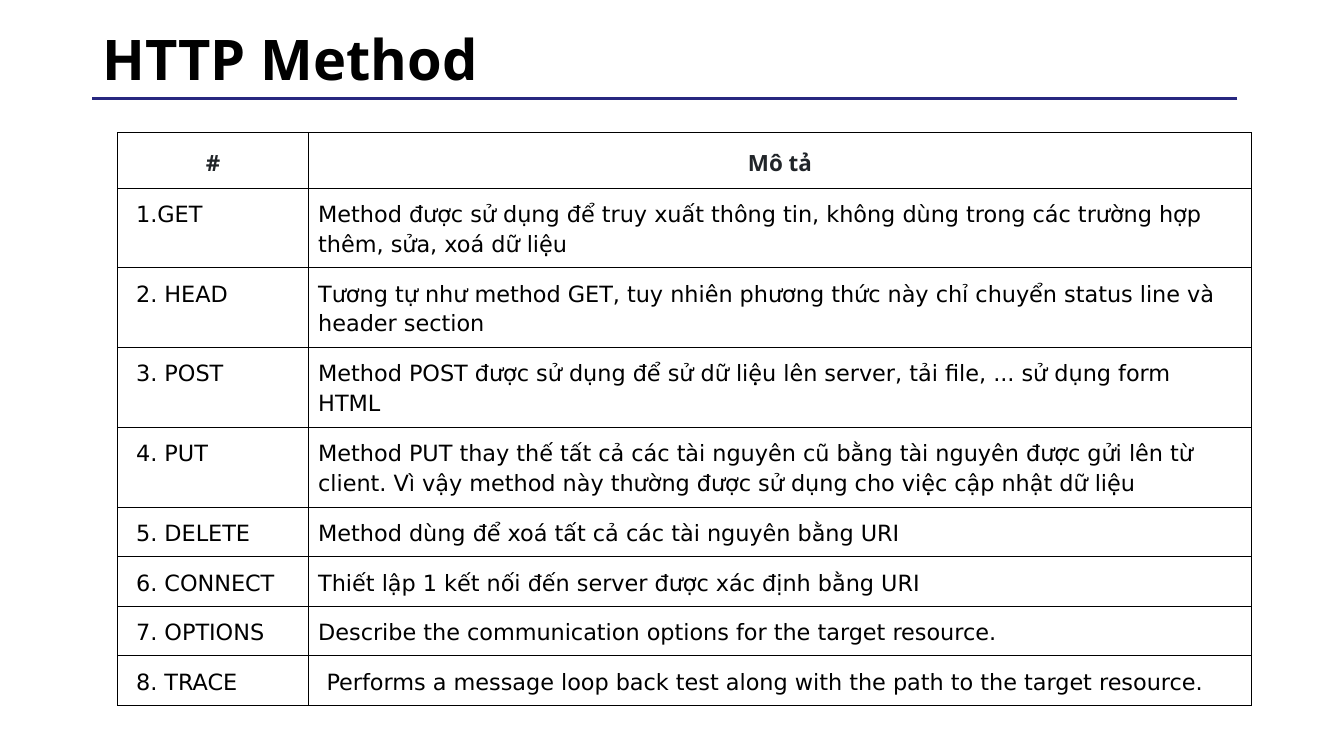
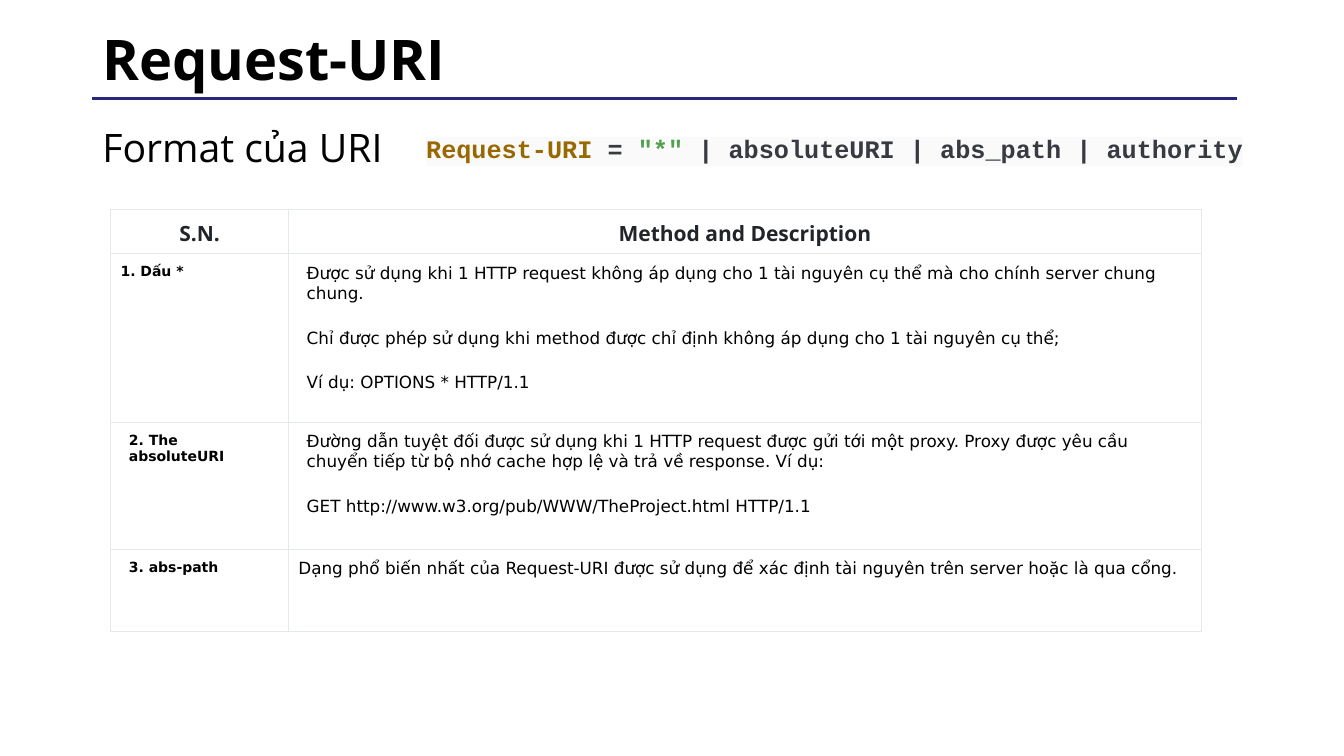
from lxml import etree
from pptx import Presentation
from pptx.dml.color import RGBColor
from pptx.enum import shapes, text
from pptx.oxml.ns import qn
from pptx.util import Cm, Pt

BLACK = RGBColor(0x00, 0x00, 0x00)
WHITE = RGBColor(0xFF, 0xFF, 0xFF)
NAVY = RGBColor(0x27, 0x27, 0x80)
CHARCOAL = RGBColor(0x21, 0x25, 0x29)
PALE_GREY = RGBColor(0xE4, 0xEA, 0xEC)
CODE_BROWN = RGBColor(0x98, 0x68, 0x01)
CODE_GREY = RGBColor(0x38, 0x3A, 0x42)
CODE_GREEN = RGBColor(0x50, 0xA1, 0x4F)
CODE_BACKGROUND = RGBColor(0xFA, 0xFA, 0xFA)

HEADING_FONT, TABLE_FONT, CODE_FONT = "Open Sans", "DejaVu Sans", "Courier New"
CONTENT_LEFT, CONTENT_WIDTH = Cm(2.33), Cm(29.21)
INSET, BOTTOM_INSET, INDENT = Cm(0.25), Cm(0.2), Cm(0.21)
HEADER_HEIGHT, ONE_LINE, TWO_LINES = Cm(1.39), Cm(1.25), Cm(2.01)

# Each row: label, label indented, description paragraphs, description indented
METHODS = {
    "headers": ("#", "Mô tả"),
    "rows": [
        ("1.GET", True, ["Method được sử dụng để truy xuất thông tin, không dùng trong "
                         "các trường hợp thêm, sửa, xoá dữ liệu"], False),
        ("2. HEAD", True, ["Tương tự như method GET, tuy nhiên phương thức này chỉ chuyển "
                           "status line và header section"], False),
        ("3. POST", True, ["Method POST được sử dụng để sử dữ liệu lên server, tải file, "
                           "... sử dụng form HTML"], False),
        ("4. PUT", True, ["Method PUT thay thế tất cả các tài nguyên cũ bằng tài nguyên "
                          "được gửi lên từ client. Vì vậy method này thường được sử dụng "
                          "cho việc cập nhật dữ liệu"], False),
        ("5. DELETE", True, ["Method dùng để xoá tất cả các tài nguyên bằng URI"], False),
        ("6. CONNECT", True, ["Thiết lập 1 kết nối đến server được xác định bằng URI"], False),
        ("7. OPTIONS", True, ["Describe the communication options for the target resource."],
         False),
        ("8. TRACE", True, ["Performs a message loop back test along with the path to the "
                            "target resource."], True),
    ],
    "position": (Cm(2.97), Cm(3.35)),
    "columns": (Cm(4.8), Cm(23.77)),
    "heights": [HEADER_HEIGHT] + [TWO_LINES] * 4 + [ONE_LINE] * 4,
    "sizes": {"header": 16, "label": 16, "description": 16},
    "bold_labels": False,
    "line_spacing": 1.15,
    "border": BLACK,
}

URI_FORMS = {
    "headers": ("S.N.", "Method and Description"),
    "rows": [
        ("1. Dấu *", False, [
            "Được sử dụng khi 1 HTTP request không áp dụng cho 1 tài nguyên cụ thể mà cho "
            "chính server chung chung.",
            "Chỉ được phép sử dụng khi method được chỉ định không áp dụng cho 1 tài nguyên "
            "cụ thể;",
            "Ví dụ: OPTIONS * HTTP/1.1"], True),
        ("2. The absoluteURI", True, [
            "Đường dẫn tuyệt đối được sử dụng khi 1 HTTP request được gửi tới một proxy. "
            "Proxy được yêu cầu chuyển tiếp từ bộ nhớ cache hợp lệ và trả về response. Ví dụ:",
            "GET http://www.w3.org/pub/WWW/TheProject.html HTTP/1.1"], True),
        ("3. abs-path", True, [
            "Dạng phổ biến nhất của Request-URI được sử dụng để xác định tài nguyên trên "
            "server hoặc là qua cổng."], False),
    ],
    "position": (Cm(2.79), Cm(5.27)),
    "columns": (Cm(4.48), Cm(23.01)),
    "heights": [Cm(1.13), Cm(4.24), Cm(3.2), Cm(2.07)],
    "sizes": {"header": 15, "label": 10, "description": 12},
    "bold_labels": True,
    "line_spacing": 1.0,
    "border": PALE_GREY,
}

URI_FORMULA = [
    ("Request-URI", CODE_BROWN),
    (" = ", CODE_GREY),
    ('"*"', CODE_GREEN),
    (" | absoluteURI | abs_path | authority", CODE_GREY),
]


def style_run(run, font_name, size, color, bold=False):
    run.font.name = font_name
    run.font.size = Pt(size)
    run.font.color.rgb = color
    run.font.bold = bold


def highlight_run(run, color):
    """Add a highlight right after the run's fill, where the schema expects it."""
    highlight = etree.Element(qn("a:highlight"))
    etree.SubElement(highlight, qn("a:srgbClr"), val=str(color))
    run.font._element.find(qn("a:solidFill")).addnext(highlight)


def add_text(slide, content, left, top, width, height, size, bold=False,
             anchor=text.MSO_ANCHOR.TOP, space_before=0):
    frame = slide.shapes.add_textbox(left, top, width, height).text_frame
    frame.word_wrap = True
    frame.vertical_anchor = anchor
    frame.text = content
    paragraph = frame.paragraphs[0]
    paragraph.line_spacing = 0.9
    paragraph.space_before = Pt(space_before)
    style_run(paragraph.runs[0], HEADING_FONT, size, BLACK, bold)


def add_titled_slide(presentation, title):
    slide = presentation.slides.add_slide(presentation.slide_layouts[6])
    rule_y = Cm(2.49)
    rule = slide.shapes.add_connector(shapes.MSO_CONNECTOR.STRAIGHT,
                                      Cm(31.18), rule_y, CONTENT_LEFT, rule_y)
    rule.line.color.rgb = NAVY
    rule.line.width = Pt(2)
    etree.SubElement(rule._element.spPr, qn("a:effectLst"))
    add_text(slide, title, CONTENT_LEFT, Cm(0.43), CONTENT_WIDTH, Cm(2.26), 40,
             bold=True, anchor=text.MSO_ANCHOR.MIDDLE)
    return slide


def set_borders(cell, color):
    properties = cell._tc.get_or_add_tcPr()
    for index, side in enumerate(("lnL", "lnR", "lnT", "lnB")):
        line = etree.Element(qn(f"a:{side}"), w=str(Pt(0.75)))
        fill = etree.SubElement(line, qn("a:solidFill"))
        etree.SubElement(fill, qn("a:srgbClr"), val=str(color))
        properties.insert(index, line)


def fill_cell(cell, paragraphs, role, indented, design):
    is_header = role == "header"
    cell.fill.solid()
    cell.fill.fore_color.rgb = WHITE
    set_borders(cell, design["border"])
    cell.margin_left = cell.margin_top = INSET
    cell.margin_right = INSET if is_header else INSET + INDENT
    cell.margin_bottom = BOTTOM_INSET
    cell.text_frame.text = "\n".join(paragraphs)

    font_name, color = (HEADING_FONT, CHARCOAL) if is_header else (TABLE_FONT, BLACK)
    bold = is_header or (role == "label" and design["bold_labels"])
    for index, paragraph in enumerate(cell.text_frame.paragraphs):
        paragraph.line_spacing = design["line_spacing"]
        style_run(paragraph.runs[0], font_name, design["sizes"][role], color, bold)
        if is_header:
            paragraph.alignment = text.PP_ALIGN.CENTER
            continue
        paragraph.space_before = Pt(18 if index else 6)
        if index == len(paragraphs) - 1:
            paragraph.space_after = Pt(6 if role == "label" else 18)
        if indented:
            properties = paragraph._p.get_or_add_pPr()
            properties.set("marL", str(INDENT))
            properties.set("indent", "0")


def add_description_table(slide, design):
    widths, heights = design["columns"], design["heights"]
    table = slide.shapes.add_table(len(heights), len(widths), *design["position"],
                                   sum(widths), sum(heights)).table
    table.first_row = table.horz_banding = False
    for column, width in zip(table.columns, widths):
        column.width = width
    for row, height in zip(table.rows, heights):
        row.height = height
    for column_index, header in enumerate(design["headers"]):
        fill_cell(table.cell(0, column_index), [header], "header", False, design)
    for row_index, content in enumerate(design["rows"], start=1):
        label, label_indented, description, description_indented = content
        fill_cell(table.cell(row_index, 0), [label], "label", label_indented, design)
        fill_cell(table.cell(row_index, 1), description, "description",
                  description_indented, design)


def add_uri_formula(slide):
    frame = slide.shapes.add_textbox(Cm(10.49), Cm(3.1), Cm(23), Cm(2.16)).text_frame
    frame.word_wrap = True
    frame.margin_left = frame.margin_right = frame.margin_top = frame.margin_bottom = INSET
    for content, color in URI_FORMULA:
        run = frame.paragraphs[0].add_run()
        run.text = content
        style_run(run, CODE_FONT, 18, color, bold=True)
        highlight_run(run, CODE_BACKGROUND)


def main():
    presentation = Presentation()
    presentation.slide_width, presentation.slide_height = Cm(33.87), Cm(19.05)

    method_slide = add_titled_slide(presentation, "HTTP Method")
    add_description_table(method_slide, METHODS)

    uri_slide = add_titled_slide(presentation, "Request-URI")
    add_text(uri_slide, "Format của URI", CONTENT_LEFT, Cm(3.12), Cm(8.1), Cm(1.6), 28,
             space_before=10)
    add_uri_formula(uri_slide)
    add_description_table(uri_slide, URI_FORMS)

    presentation.save("out.pptx")


if __name__ == "__main__":
    main()
